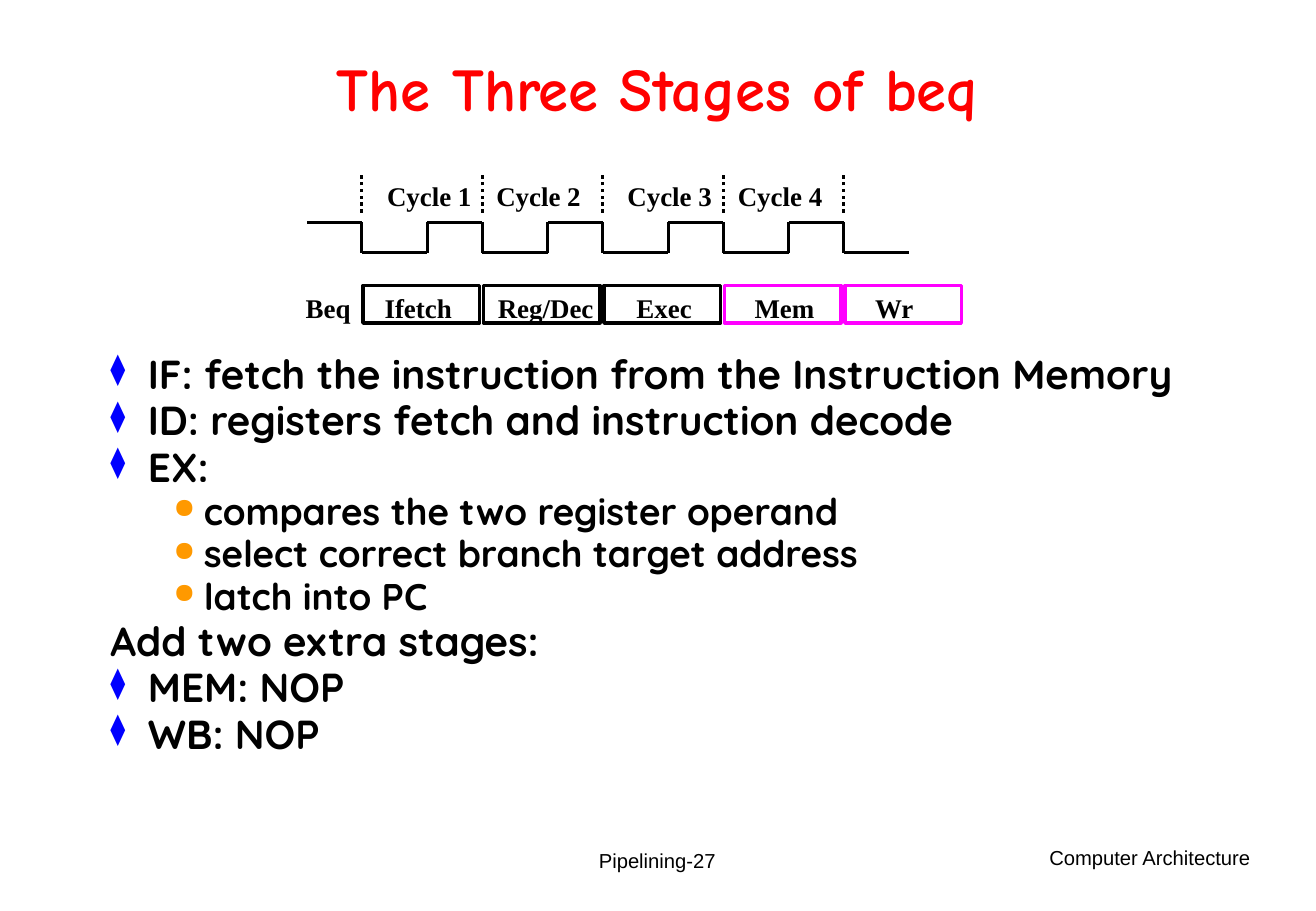
from dataclasses import dataclass
from itertools import pairwise

import pptx
import pptx.dml.color
import pptx.enum.dml
import pptx.enum.shapes
import pptx.enum.text
import pptx.oxml
import pptx.oxml.ns
import pptx.util
from pptx.dml.color import RGBColor
from pptx.util import Inches, Pt

BLACK = RGBColor(0x00, 0x00, 0x00)
RED = RGBColor(0xFF, 0x00, 0x00)
BLUE = RGBColor(0x00, 0x00, 0xFF)
ORANGE = RGBColor(0xFF, 0x99, 0x00)
PINK = RGBColor(0xFF, 0x00, 0xFF)
ALIGN = pptx.enum.text.PP_ALIGN
ANCHOR = pptx.enum.text.MSO_ANCHOR

START = 2.98
PITCH = 3.97 / 4
HIGH, LOW = 1.83, 2.08
STAGE_TOP = 2.35


@dataclass
class Label:
    text: str
    left: float
    top: float
    width: float


@dataclass
class Stage:
    name: str
    shift: float
    width: float
    color: RGBColor


@dataclass
class Style:
    size: float
    before: float
    margin: float
    indent: float
    mark: str
    color: RGBColor
    level: int = 0


MAIN = Style(24, 4.5, 0.31, -0.31, "⧫", BLUE)
PLAIN = Style(24, 4.5, 0.31, -0.31, "", BLACK)
SUB = Style(22, 4.1, 0.77, -0.25, "●", ORANGE, 1)

STAGES = [
    Stage("Ifetch", 0.09, 0.76, BLACK),
    Stage("Reg/Dec", 0.03, 0.99, BLACK),
    Stage("Exec", 0.18, 0.66, BLACK),
    Stage("Mem", 0.16, 0.69, PINK),
    Stage("Wr", 0.16, 0.52, PINK),
]
CYCLES = [
    Label(f"Cycle {num}", left, 1.43, 0.9)
    for num, left in enumerate((3.09, 3.99, 5.07, 5.98), 1)
]
POINTS = [
    ("IF: fetch the instruction from the Instruction Memory", MAIN),
    ("ID: registers fetch and instruction decode", MAIN),
    ("EX:", MAIN),
    ("compares the two register operand", SUB),
    ("select correct branch target address", SUB),
    ("latch into PC", SUB),
    ("Add two extra stages:", PLAIN),
    ("MEM: NOP", MAIN),
    ("WB: NOP", MAIN),
]


def style_runs(para, face: str, size: float, color: RGBColor, bold: bool) -> None:
    for run in para.runs:
        run.font.name = face
        run.font.size = Pt(size)
        run.font.bold = bold
        run.font.color.rgb = color


def add_label(slide, label: Label) -> None:
    box = slide.shapes.add_textbox(
        Inches(label.left), Inches(label.top), Inches(label.width), Inches(0.37))
    frame = box.text_frame
    frame.word_wrap = False
    frame.auto_size = pptx.enum.text.MSO_AUTO_SIZE.SHAPE_TO_FIT_TEXT
    frame.text = label.text
    style_runs(frame.paragraphs[0], "Times New Roman", 16, BLACK, True)


def add_line(slide, start: tuple[float, float], end: tuple[float, float],
             dotted: bool = False) -> None:
    line = slide.shapes.add_connector(
        pptx.enum.shapes.MSO_CONNECTOR.STRAIGHT,
        Inches(start[0]), Inches(start[1]), Inches(end[0]), Inches(end[1]))
    line.line.color.rgb = BLACK
    line.line.width = Pt(2)
    if dotted:
        line.line.dash_style = pptx.enum.dml.MSO_LINE.ROUND_DOT
    props = line._element.spPr
    props.append(pptx.oxml.parse_xml(
        f'<a:effectLst {pptx.oxml.ns.nsdecls("a")}/>'))


def add_clock(slide) -> None:
    wave = [(START - 0.45, HIGH)]
    for num in range(5):
        edge = START + num * PITCH
        wave += [(edge, HIGH), (edge, LOW), (edge + 0.54, LOW)]
        if num < 4:
            wave.append((edge + 0.54, HIGH))
        add_line(slide, (edge, 1.75), (edge, 1.42), dotted=True)
    for start, end in pairwise(wave):
        add_line(slide, start, end)


def add_stage(slide, num: int, stage: Stage) -> None:
    edge = START + num * PITCH
    box = slide.shapes.add_shape(
        pptx.enum.shapes.MSO_SHAPE.RECTANGLE,
        Inches(edge + 0.01), Inches(STAGE_TOP), Inches(0.96), Inches(0.31))
    box.shadow.inherit = False
    box.fill.background()
    box.line.color.rgb = stage.color
    box.line.width = Pt(2)
    add_label(slide, Label(stage.name, edge + stage.shift, STAGE_TOP, stage.width))


def set_bullet(para, style: Style) -> None:
    props = para._p.get_or_add_pPr()
    props.set("marL", str(Inches(style.margin)))
    props.set("indent", str(Inches(style.indent)))
    space = pptx.oxml.ns.nsdecls("a")
    parts = [f"<a:buNone {space}/>"]
    if style.mark:
        parts = [
            f'<a:buClr {space}><a:srgbClr val="{style.color}"/></a:buClr>',
            f'<a:buSzPct {space} val="75000"/>',
            f'<a:buChar {space} char="{style.mark}"/>',
        ]
    for part in parts:
        props.append(pptx.oxml.parse_xml(part))


def add_points(slide) -> None:
    box = slide.shapes.add_textbox(
        Inches(0.81), Inches(2.9), Inches(9.21), Inches(4.01))
    frame = box.text_frame
    frame.word_wrap = True
    frame.text = "\n".join(text for text, _ in POINTS)
    for para, (_, style) in zip(frame.paragraphs, POINTS):
        para.level = style.level
        para.line_spacing = 0.8
        para.space_before = Pt(style.before)
        set_bullet(para, style)
        style_runs(para, "Quicksand", style.size, BLACK, True)


def add_footer(slide, label: Label, align, anchor) -> None:
    box = slide.shapes.add_textbox(
        Inches(label.left), Inches(label.top), Inches(label.width), Inches(0.5))
    frame = box.text_frame
    frame.word_wrap = True
    frame.vertical_anchor = anchor
    frame.text = label.text
    frame.paragraphs[0].alignment = align
    style_runs(frame.paragraphs[0], "Arial", 12, BLACK, False)


def set_title(slide) -> None:
    title = slide.shapes.title
    title.left, title.top = Inches(0.81), Inches(0.27)
    title.width, title.height = Inches(9.21), Inches(0.99)
    frame = title.text_frame
    frame.text = "The Three Stages of beq"
    frame.vertical_anchor = ANCHOR.MIDDLE
    para = frame.paragraphs[0]
    para.alignment = ALIGN.CENTER
    para.line_spacing = 0.85
    style_runs(para, "Comic Neue", 36, RED, True)


def main() -> None:
    deck = pptx.Presentation()
    deck.slide_width, deck.slide_height = Inches(10.84), Inches(7.5)
    slide = deck.slides.add_slide(deck.slide_layouts[5])
    set_title(slide)
    add_points(slide)
    add_clock(slide)
    for num, stage in enumerate(STAGES):
        add_stage(slide, num, stage)
    for label in [*CYCLES, Label("Beq", 2.42, STAGE_TOP, 0.57)]:
        add_label(slide, label)
    add_footer(slide, Label("Computer Architecture", 7.53, 6.91, 2.87),
               ALIGN.RIGHT, ANCHOR.TOP)
    add_footer(slide, Label("Pipelining-27", 3.7, 6.83, 3.43),
               ALIGN.CENTER, ANCHOR.MIDDLE)
    deck.save("out.pptx")


if __name__ == "__main__":
    main()
